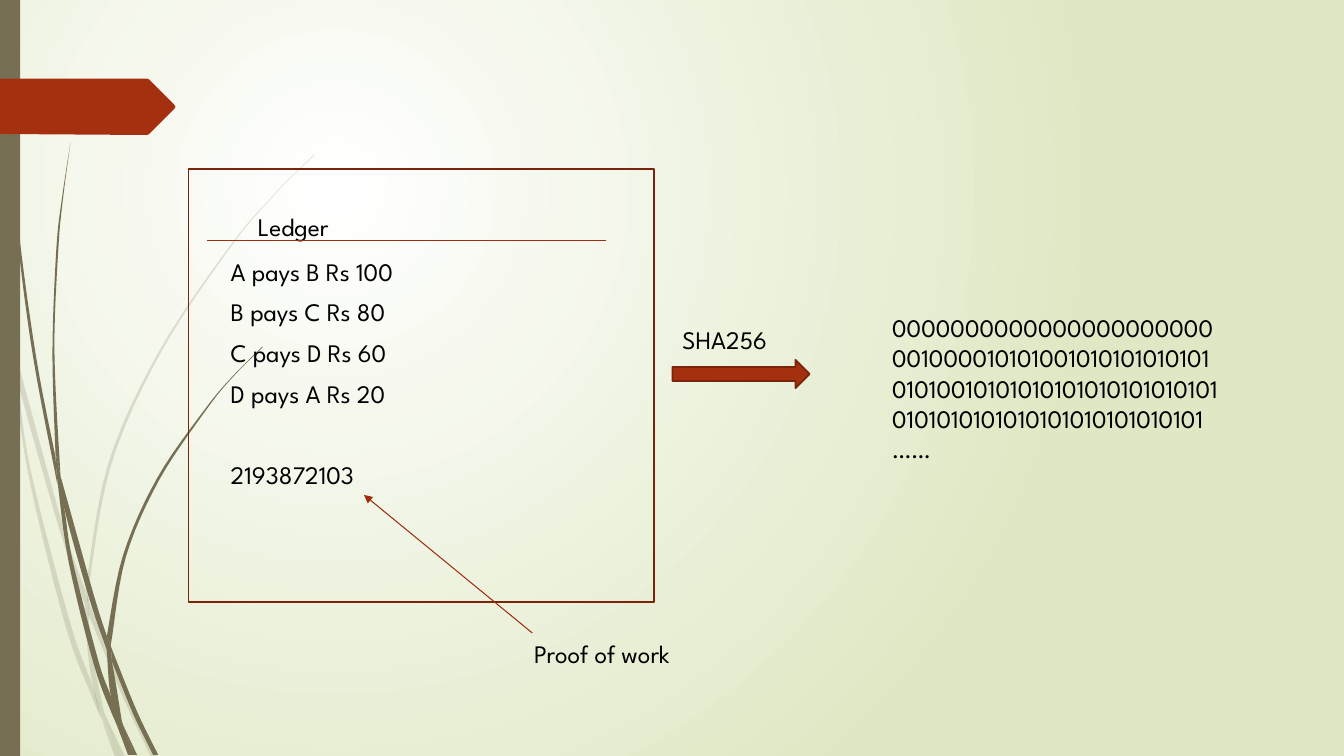
from dataclasses import dataclass

from lxml import etree
from pptx import Presentation
from pptx import util as u
from pptx.dml.color import RGBColor
from pptx.enum import shapes, text
from pptx.oxml import ns

COLUMN = ROW = u.Inches(1)
SLIDE_COLUMNS, SLIDE_ROWS = 13.33, 7.5

WHITE = RGBColor(0xFF, 0xFF, 0xFF)
PALE_GREEN = RGBColor(0xDF, 0xE8, 0xC4)
OLIVE = RGBColor(0x76, 0x6F, 0x54)
RUST = RGBColor(0xA5, 0x30, 0x10)
RUST_LINE = RGBColor(0x9E, 0x2E, 0x0F)
RUST_EDGE = RGBColor(0x7A, 0x24, 0x0C)
BLACK = RGBColor(0, 0, 0)

Point = tuple[float, float]
Edge = tuple[Point, ...]


@dataclass(frozen=True)
class Blade:
    outward: Edge
    back: Edge


@dataclass(frozen=True)
class Label:
    words: str
    column: float
    row: float
    columns: float = 3.44
    rows: float = 0.4


@dataclass(frozen=True)
class Rule:
    start: Point
    end: Point
    arrow: bool = False


FAINT_BLADES = (
    Blade(((0.11, 3.5), (0.09, 3.22), (0, 2.82)), ((0, 2.99), (0.1, 3.44))),
    Blade(((0.14, 3.45), (0.17, 3.76), (0.58, 5.22), (0.84, 5.99)),
          ((0.85, 5.86), (0.62, 5.2), (0.14, 3.45))),
    Blade(((0.88, 5.96), (0.92, 6.07), (1.27, 6.92), (1.55, 7.51)),
          ((1.5, 7.51), (1.23, 6.94), (0.88, 6.1))),
    Blade(((1.19, 7.51), (1.24, 7.51)), ((1.05, 7.11),)),
    Blade(((0.11, 3.5), (0.17, 3.76), (0.31, 4.69), (0.7, 6.19), (0.93, 6.83), (0.99, 7.07)),
          ((1.01, 7.14), (0.92, 6.93), (0.65, 6.21), (0.28, 4.7), (0.11, 3.5))),
    Blade(((0.84, 5.99), (0.87, 6.46), (0.93, 6.83), (1.05, 7.11)),
          ((1.03, 7.06), (0.91, 6.46), (0.88, 6.08))),
    Blade(((0.88, 5.96), (0.88, 5.84), (1.1, 4.62), (1.6, 3.49), (2.29, 2.45), (2.68, 1.98),
           (2.9, 1.75), (3.12, 1.54)),
          ((3.12, 1.53), (2.89, 1.75), (2.68, 1.97), (2.28, 2.44), (1.58, 3.48), (1.07, 4.61),
           (0.85, 5.84))),
    Blade(((1.01, 7.14), (1.14, 7.51)), ((1.19, 7.51), (1.01, 7.14))),
    Blade(((0.88, 6.1), (0.88, 5.96), (0.85, 5.86)), ((0.84, 5.99), (0.88, 6.08))),
    Blade(((0.93, 6.83), (0.99, 7.07), (1.19, 7.51)), ((1.05, 7.11), (0.96, 6.92))),
)

SOLID_BLADES = (
    Blade(((0.03, 0), (0.04, 0.48), (0.07, 1.1), (0.17, 2.33), (0.33, 3.55), (0.57, 4.81)),
          ((0.55, 4.53), (0.36, 3.55), (0.19, 2.32), (0.08, 1.09), (0.05, 0.48), (0.04, 0))),
    Blade(((0.6, 4.72), (0.64, 5.05), (0.88, 5.92), (1.06, 6.45)),
          ((1.06, 6.31), (0.93, 5.9), (0.6, 4.72))),
    Blade(((1.1, 6.41), (1.13, 6.49), (1.36, 7.06), (1.57, 7.49)),
          ((1.52, 7.49), (1.32, 7.08), (1.11, 6.56))),
    Blade(((0.57, 4.77), (0.64, 5.05), (0.72, 5.56), (0.98, 6.57), (1.1, 6.91), (1.17, 7.22)),
          ((1.11, 7.08), (0.93, 6.59), (0.68, 5.57), (0.57, 4.77))),
    Blade(((0.6, 4.72), (0.54, 3.49), (0.58, 2.45), (0.63, 1.93), (0.7, 1.41)),
          ((0.7, 1.41), (0.62, 1.93), (0.56, 2.45), (0.52, 3.49), (0.55, 4.49))),
    Blade(((1.33, 7.49), (1.36, 7.49)), ((1.22, 7.19),)),
    Blade(((0.55, 4.49), (0.57, 4.77), (0.64, 5.05)), ((0.6, 4.72), (0.55, 4.49))),
    Blade(((1.1, 6.41), (1.11, 6.33), (1.25, 5.52), (1.58, 4.76), (2.05, 4.06), (2.31, 3.74),
           (2.61, 3.44)),
          ((2.6, 3.44), (2.31, 3.73), (2.04, 4.05), (1.56, 4.74), (1.22, 5.51), (1.06, 6.31))),
    Blade(((1.17, 7.22), (1.27, 7.49)), ((1.31, 7.49), (1.17, 7.22))),
    Blade(((1.06, 6.45), (1.1, 6.91), (1.22, 7.19)), ((1.21, 7.16), (1.11, 6.56), (1.06, 6.45))),
    Blade(((1.06, 6.45), (1.11, 6.56)), ((1.1, 6.41), (1.06, 6.31))),
    Blade(((1.1, 6.91), (1.17, 7.22), (1.3, 7.49)), ((1.33, 7.49), (1.22, 7.19), (1.16, 7.06))),
)

BANNER = ((0, 0.78), (1.46, 0.78), (1.48, 0.79), (1.73, 1.04), (1.74, 1.06),
          (1.73, 1.08), (1.48, 1.33), (1.46, 1.34), (0, 1.33))

ENTRY_COLUMN, FIRST_ENTRY_ROW, ENTRY_PITCH = 2.19, 2.49, 2.02 / 5
ENTRIES = {
    0: "A pays B Rs 100",
    1: "B pays C Rs 80",
    2: "C pays D Rs 60",
    3: "D pays A Rs 20",
    5: "2193872103",
}
HASH_BITS = ("0000000000000000000000001000010101001010101010101010100101010101"
             "010101010101010101010101010101010101010101……")
LABELS = (
    Label(HASH_BITS, 8.75, 3.05, rows=1.62),
    *(Label(entry, ENTRY_COLUMN, FIRST_ENTRY_ROW + ENTRY_PITCH * line)
      for line, entry in ENTRIES.items()),
    Label("SHA256", 6.67, 3.17, columns=1.36),
    Label("Ledger", 2.46, 2.05),
    Label("Proof of work", 5.2, 6.28, columns=2.25),
)
RULES = (
    Rule((2.05, 2.39), (6.01, 2.39)),
    Rule((5.28, 6.28), (3.61, 4.91), arrow=True),
)


def place(*lengths: float) -> list[int]:
    return [round(length * (ROW if i % 2 else COLUMN)) for i, length in enumerate(lengths)]


def smooth(edge: Edge, steps: int = 6) -> list[Point]:
    padded = (edge[0], *edge, edge[-1])
    curve = [edge[0]]
    for a, b, c, d in zip(padded, padded[1:], padded[2:], padded[3:]):
        for step in range(1, steps + 1):
            t = step / steps
            curve.append(tuple(
                q + t * ((r - p) + t * ((2 * p - 5 * q + 4 * r - s) + t * (3 * (q - r) + s - p))) / 2
                for p, q, r, s in zip(a, b, c, d)))
    return curve


def style(shape, fill: RGBColor | None = None, edge: RGBColor | None = None, opacity: int = 100) -> None:
    shape.shadow.inherit = False
    if fill is None:
        shape.fill.background()
    else:
        shape.fill.solid()
        shape.fill.fore_color.rgb = fill
        if opacity < 100:
            tint = shape.element.spPr.find(f"{ns.qn('a:solidFill')}/{ns.qn('a:srgbClr')}")
            etree.SubElement(tint, ns.qn("a:alpha"), val=str(opacity * 1000))
    if edge is None:
        shape.line.fill.background()
    else:
        shape.line.color.rgb = edge
        shape.line.width = u.Pt(1.25)


def draw_outline(canvas, points, fill: RGBColor, opacity: int = 100) -> None:
    start, *others = [place(*point) for point in points]
    builder = canvas.build_freeform(*start, scale=1.0)
    builder.add_line_segments(others, close=True)
    style(builder.convert_to_shape(), fill, opacity=opacity)


def draw_preset(canvas, preset, box, **look) -> None:
    style(canvas.add_shape(preset, *place(*box)), **look)


def draw_rule(canvas, rule: Rule) -> None:
    line = canvas.add_connector(shapes.MSO_CONNECTOR.STRAIGHT, *place(*rule.start, *rule.end))
    line.line.color.rgb = RUST_LINE
    line.line.width = u.Pt(0.75)
    if rule.arrow:
        etree.SubElement(line.line._get_or_add_ln(), ns.qn("a:tailEnd"), type="triangle")
    etree.SubElement(line.element.spPr, ns.qn("a:effectLst"))


def write(canvas, words: str, *, box, size: float = 18, font: str = "League Spartan",
          color: RGBColor = BLACK) -> None:
    frame = canvas.add_textbox(*place(*box)).text_frame
    frame.word_wrap = True
    frame.auto_size = text.MSO_AUTO_SIZE.SHAPE_TO_FIT_TEXT
    run = frame.paragraphs[0].add_run()
    run.text = words
    run.font.size, run.font.name, run.font.color.rgb = u.Pt(size), font, color


def paint_background(slide) -> None:
    fill = slide.background.fill
    fill.gradient()
    for stop, color, position in zip(fill.gradient_stops, (WHITE, PALE_GREEN), (0, 1)):
        stop.color.rgb, stop.position = color, position
    gradient = slide.element.find(f".//{ns.qn('a:gradFill')}")
    gradient.remove(gradient.find(ns.qn("a:lin")))
    glow = etree.SubElement(gradient, ns.qn("a:path"), path="circle")
    etree.SubElement(glow, ns.qn("a:fillToRect"), l="50000", t="50000", r="100000", b="100000")


def main() -> None:
    deck = Presentation()
    deck.slide_width, deck.slide_height = place(SLIDE_COLUMNS, SLIDE_ROWS)
    slide = deck.slides.add_slide(deck.slide_layouts[6])
    canvas = slide.shapes
    paint_background(slide)
    for blades, opacity in ((FAINT_BLADES, 20), (SOLID_BLADES, 100)):
        tuft = canvas.add_group_shape().shapes
        for blade in blades:
            draw_outline(tuft, smooth(blade.outward) + smooth(blade.back), OLIVE, opacity)
    preset = shapes.MSO_SHAPE
    draw_preset(canvas, preset.RECTANGLE, (0, 0, 0.2, SLIDE_ROWS), fill=OLIVE)
    draw_outline(canvas, BANNER, RUST)
    draw_preset(canvas, preset.RECTANGLE, (1.87, 1.68, 4.62, 4.29), edge=RUST_EDGE)
    draw_preset(canvas, preset.RIGHT_ARROW, (6.67, 3.57, 1.36, 0.28), fill=RUST, edge=RUST_EDGE)
    for label in LABELS:
        write(canvas, label.words, box=(label.column, label.row, label.columns, label.rows))
    for rule in RULES:
        draw_rule(canvas, rule)
    deck.save("out.pptx")


if __name__ == "__main__":
    main()
